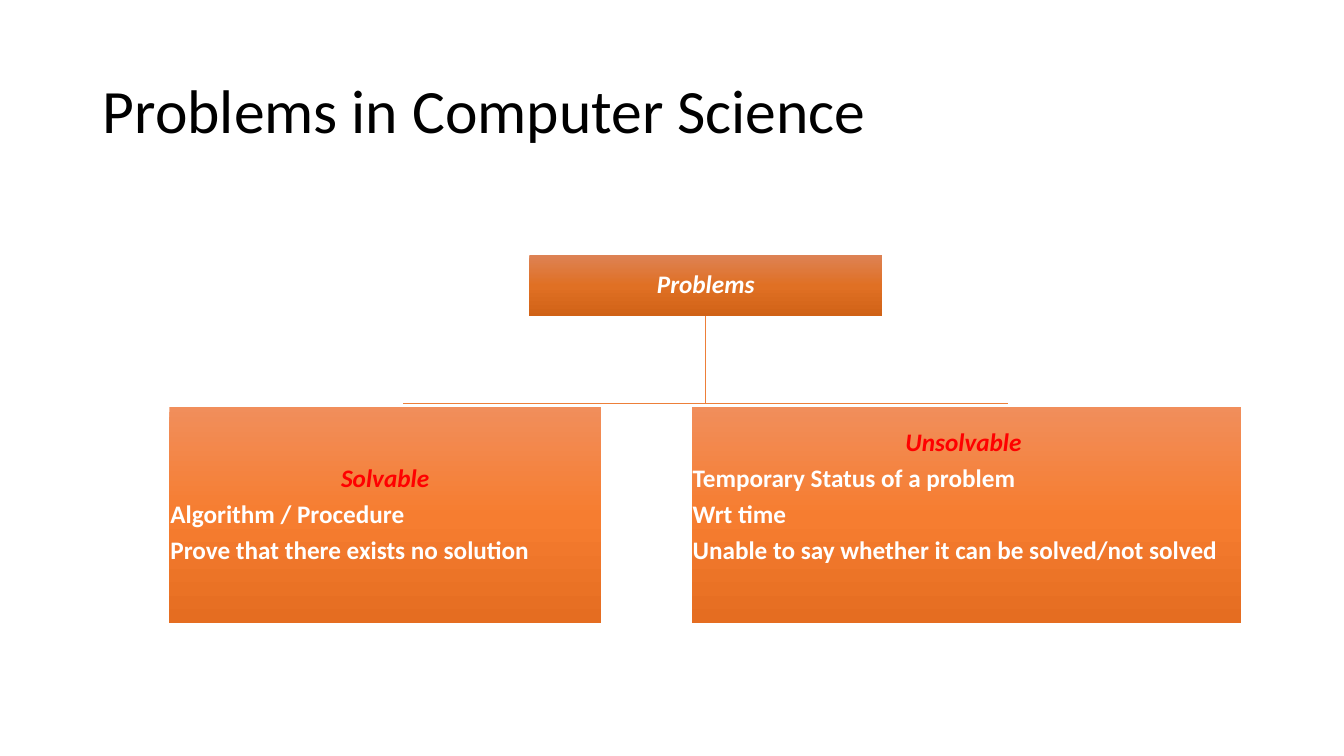
from copy import deepcopy

from pptx import Presentation, util as u
from pptx.dml.color import RGBColor
from pptx.enum import shapes, text
from pptx.oxml.ns import qn

FONT = "Calibri"
BLACK = RGBColor(0x00, 0x00, 0x00)
WHITE = RGBColor(0xFF, 0xFF, 0xFF)
RED = RGBColor(0xFF, 0x00, 0x00)
LINE = RGBColor(0xED, 0x7F, 0x39)
ROOT_FILL = [RGBColor(0xDD, 0x82, 0x54), RGBColor(0xE0, 0x70, 0x24), RGBColor(0xD0, 0x62, 0x16)]
LEAF_FILL = [RGBColor(0xF1, 0x8E, 0x5B), RGBColor(0xF6, 0x7D, 0x30), RGBColor(0xE5, 0x6D, 0x21)]

# Tree rows and boxes: left, top, width, height in inches
ROOT_TOP, ROOT_HEIGHT = 2.53, 0.61
LEAF_TOP, LEAF_HEIGHT = 4.04, 2.14
TITLE_BOX = (0.92, 0.4, 11.5, 1.45)
ROOT_BOX = (5.25, ROOT_TOP, 3.5, ROOT_HEIGHT)
# Box, heading, lines, bottom inset (a larger one lifts the text)
LEAVES = [
    ((1.68, LEAF_TOP, 4.28, LEAF_HEIGHT), "Solvable",
     ["Algorithm / Procedure", "Prove that there exists no solution"], 0.01),
    ((6.86, LEAF_TOP, 5.45, LEAF_HEIGHT), "Unsolvable ",
     ["Temporary Status of a problem", "Wrt time",
      "Unable to say whether it can be solved/not solved"], 0.37),
]


def add_span(para, words, size, color, bold=False, italic=False):
    para.line_spacing = 0.9
    span = para.add_run()
    span.text = words
    font = span.font
    font.name, font.size, font.color.rgb = FONT, u.Pt(size), color
    font.bold, font.italic = bold, italic


def fill_gradient(shape, colors):
    """Fill the shape from top to bottom with three evenly spaced colours."""
    shape.fill.gradient()
    shape.fill.gradient_angle = 270
    stop_list = shape._element.spPr.find(qn("a:gradFill")).find(qn("a:gsLst"))
    stop_list.insert(1, deepcopy(stop_list[0]))
    for index, (stop, color) in enumerate(zip(shape.fill.gradient_stops, colors)):
        stop.position = index / 2
        stop.color.rgb = color


def add_title(page, box, words):
    title = page.shapes.title
    title.left, title.top, title.width, title.height = map(u.Inches, box)
    frame = title.text_frame
    frame.vertical_anchor = text.MSO_ANCHOR.MIDDLE
    para = frame.paragraphs[0]
    para.alignment = text.PP_ALIGN.LEFT
    add_span(para, words, 44, BLACK)


def add_node(page, box, colors, heading, heading_color, lines=(), bottom=0.01):
    node = page.shapes.add_shape(shapes.MSO_SHAPE.RECTANGLE, *map(u.Inches, box))
    node.shadow.inherit = False
    node.line.fill.background()
    fill_gradient(node, colors)
    frame = node.text_frame
    frame.word_wrap = True
    frame.vertical_anchor = text.MSO_ANCHOR.MIDDLE
    frame.margin_left = frame.margin_right = frame.margin_top = u.Inches(0.01)
    frame.margin_bottom = u.Inches(bottom)
    for index, words in enumerate([heading, *lines]):
        is_heading = index == 0
        para = frame.paragraphs[0] if is_heading else frame.add_paragraph()
        para.alignment = text.PP_ALIGN.CENTER if is_heading else text.PP_ALIGN.LEFT
        para.space_after = u.Pt(6.3)
        add_span(para, words, 18, heading_color if is_heading else WHITE, True, is_heading)


def add_branch(page, parent, child):
    """Draw an elbow from the parent's bottom centre to the child's top centre."""
    start_x, start_y = parent[0] + parent[2] / 2, parent[1] + parent[3]
    end_x, end_y = child[0] + child[2] / 2, child[1]
    middle = (start_y + end_y) / 2
    builder = page.shapes.build_freeform(start_x, start_y, scale=u.Inches(1))
    builder.add_line_segments([(start_x, middle), (end_x, middle), (end_x, end_y)], close=False)
    branch = builder.convert_to_shape()
    branch.shadow.inherit = False
    branch.fill.background()
    branch.line.color.rgb = LINE
    branch.line.width = u.Pt(0.5)


def add_tree(page):
    for leaf in reversed(LEAVES):
        add_branch(page, ROOT_BOX, leaf[0])
    add_node(page, ROOT_BOX, ROOT_FILL, "Problems", WHITE)
    for box, heading, lines, bottom in LEAVES:
        add_node(page, box, LEAF_FILL, heading, RED, lines, bottom)


def main():
    deck = Presentation()
    deck.slide_width, deck.slide_height = u.Inches(13.33), u.Inches(7.5)
    page = deck.slides.add_slide(deck.slide_layouts[5])
    add_title(page, TITLE_BOX, "Problems in Computer Science")
    add_tree(page)
    deck.save("out.pptx")


if __name__ == "__main__":
    main()
